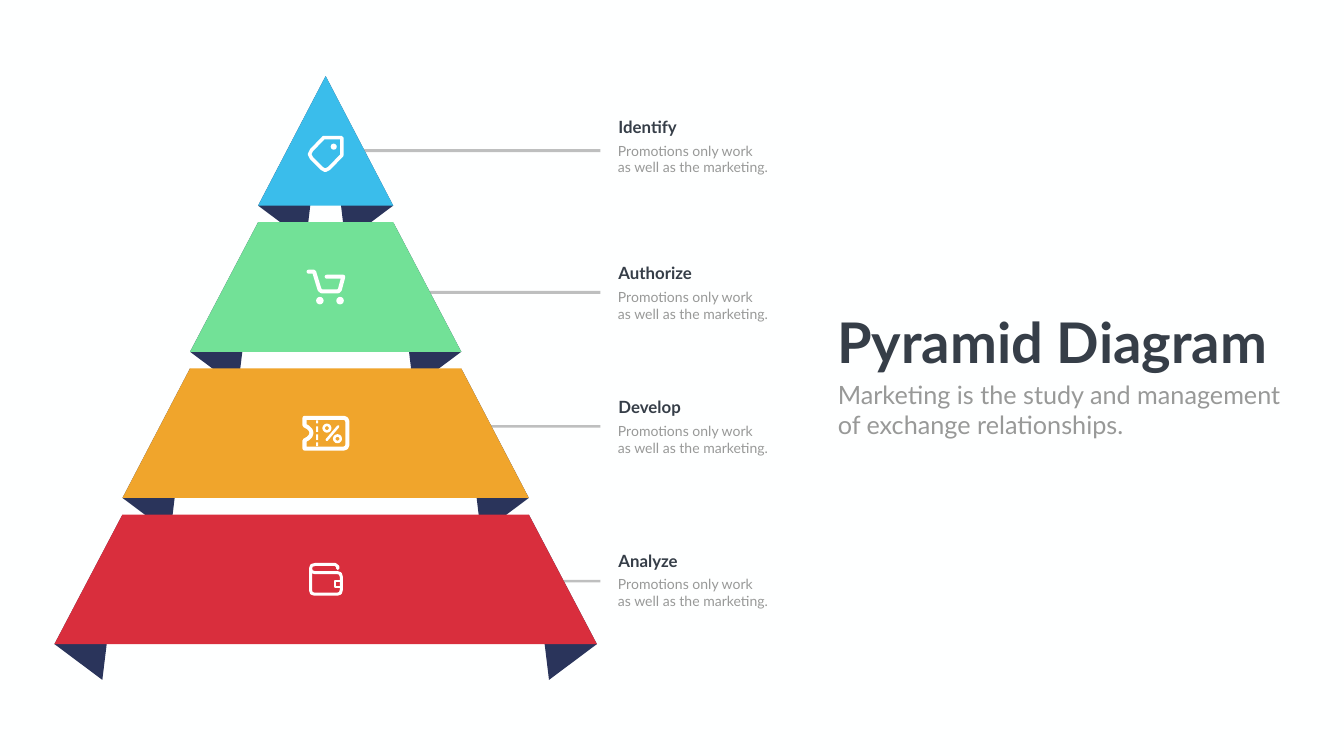
from lxml import etree
from pptx import Presentation
from pptx import util as u
from pptx.dml.color import RGBColor
from pptx.enum import shapes, text
from pptx.oxml.ns import qn

PX = 9144  # 100 px to the inch
THEME = {
    "font": "Lato", "background": "FEFFFF", "fold": "2A345B",
    "bar": "808080", "icon": "FFFFFF", "dark": "363E48", "grey": "989998",
    "title": 80, "subtitle": 36, "label": 24, "body": 20,
}
STAGES = [  # label, layer colour, label top, bar middle, bar thickness
    ("Identify", "3ABDEB", 227, 299, 6),
    ("Authorize", "72E197", 517, 580, 6),
    ("Develop", "F0A52C", 783, 846, 5),
    ("Analyze", "D92E3D", 1087, 1153, 5),
]
CENTRE, TOP, STEP, HEIGHT = 646, 151, 290, 257

prs = Presentation()
prs.slide_width, prs.slide_height = 2666 * PX, 1500 * PX
s = prs.slides.add_slide(prs.slide_layouts[6])
s.background.fill.solid()
s.background.fill.fore_color.rgb = RGBColor.from_string(THEME["background"])


def paint(sp, color, stroke=0):
    """Fill the shape, or outline it with round ends when a stroke is given."""
    sp.shadow.inherit = False
    if not stroke:
        sp.fill.solid()
        sp.fill.fore_color.rgb = RGBColor.from_string(color)
        sp.line.fill.background()
        return
    sp.fill.background()
    sp.line.color.rgb = RGBColor.from_string(color)
    sp.line.width = stroke * PX
    ln = sp._element.spPr.find(qn("a:ln"))
    ln.set("cap", "rnd")
    etree.SubElement(ln, qn("a:round"))


def polygon(points, color, stroke=0, close=True):
    builder = s.shapes.build_freeform(*points[0], scale=PX)
    builder.add_line_segments(points[1:], close=close)
    paint(builder.convert_to_shape(), color, stroke)


# Folded corners behind the layers
layers = []
for i, (_, color, *_) in enumerate(STAGES):
    top = TOP + i * STEP
    bottom = top + HEIGHT
    narrow, wide = 269 * i // 2, 269 * (i + 1) // 2
    layers.append((top, bottom, narrow, wide, color))
    for side in (-1, 1):
        polygon([(CENTRE + side * wide, bottom),
                 (CENTRE + side * (wide - 95), bottom + 71),
                 (CENTRE + side * narrow, top)], THEME["fold"])

# Bars from the layers to the labels
for _, _, _, y, thickness in STAGES:
    c = s.shapes.add_connector(shapes.MSO_CONNECTOR.STRAIGHT,
                               722 * PX, y * PX, 1191 * PX, y * PX)
    c.line.color.rgb = RGBColor.from_string(THEME["bar"])
    c.line.width = thickness * PX
    rgb = next(c._element.iter(qn("a:srgbClr")))
    etree.SubElement(rgb, qn("a:alpha"), val="50000")
    etree.SubElement(c._element.spPr, qn("a:effectLst"))

# Pyramid layers, base first
for top, bottom, narrow, wide, color in reversed(layers):
    corners = [(CENTRE - wide, bottom), (CENTRE + wide, bottom), (CENTRE + narrow, top)]
    if narrow:
        corners.append((CENTRE - narrow, top))
    polygon(corners, color)

# Icon outlines: points, stroke, closed
tag = [(642, 273), (678, 273), (678, 308), (653, 334), (645, 338),
       (638, 334), (618, 314), (614, 306), (618, 298)]
cart = [(612, 539), (623, 539), (634, 575), (638, 578), (671, 578),
        (674, 575), (681, 549), (648, 549)]
ticket = [(604, 829), (682, 829), (687, 831), (689, 836), (689, 883),
          (687, 888), (682, 890), (604, 890), (604, 874), (611, 870),
          (616, 865), (618, 859), (616, 853), (611, 848), (604, 844)]
percent_slash = [(648, 873), (671, 846)]
wallet = [(670, 1128), (670, 1124), (665, 1120), (625, 1120), (618, 1122),
          (616, 1128), (618, 1134), (624, 1136), (669, 1136), (675, 1138),
          (677, 1144), (677, 1171), (675, 1177), (669, 1179), (624, 1179),
          (618, 1177), (616, 1171), (616, 1128)]
for points, stroke, close in [(tag, 7, True), (cart, 8, False), (ticket, 8, True),
                              (percent_slash, 5, False), (wallet, 6, False)]:
    polygon(points, THEME["icon"], stroke, close)

# Icon details: preset, left, top, width, height, stroke
OVAL = shapes.MSO_SHAPE.OVAL
RECT = shapes.MSO_SHAPE.RECTANGLE
details = [
    (OVAL, 656, 285, 12, 12, 0),    # tag hole
    (OVAL, 627, 589, 15, 15, 0),    # cart wheels
    (OVAL, 667, 589, 15, 15, 0),
    (OVAL, 642, 843, 13, 13, 5),    # percent rings
    (OVAL, 663, 864, 13, 13, 5),
    (RECT, 627, 834, 4, 6, 0),      # ticket perforation
    (RECT, 627, 846, 4, 11, 0),
    (RECT, 627, 862, 4, 11, 0),
    (RECT, 627, 878, 4, 7, 0),
    (RECT, 665, 1153, 13, 11, 4),   # wallet clasp
]
for preset, x, y, w, h, stroke in details:
    paint(s.shapes.add_shape(preset, x * PX, y * PX, w * PX, h * PX),
          THEME["icon"], stroke)

# Texts: left, top, width, height, type size, colour, bold, lines
texts = [
    (1651, 605, 890, 145, "title", "dark", True, ["Pyramid Diagram"]),
    (1652, 747, 974, 131, "subtitle", "grey", False,
     ["Marketing is the study and management", "of exchange relationships."]),
]
for label, _, y, _, _ in STAGES:
    texts.append((1217, y, 216, 50, "label", "dark", True, [label]))
    texts.append((1216, y + 50, 384, 77, "body", "grey", False,
                  ["Promotions only work", "as well as the marketing."]))

for x, y, w, h, size, color, bold, lines in texts:
    tf = s.shapes.add_textbox(x * PX, y * PX, w * PX, h * PX).text_frame
    tf.word_wrap = size != "title"
    tf.auto_size = text.MSO_AUTO_SIZE.SHAPE_TO_FIT_TEXT
    for i, line in enumerate(lines):
        p = tf.add_paragraph() if i else tf.paragraphs[0]
        r = p.add_run()
        r.text = line
        r.font.name = THEME["font"]
        r.font.size = u.Pt(THEME[size])
        r.font.bold = bold
        r.font.color.rgb = RGBColor.from_string(THEME[color])

prs.save("out.pptx")
